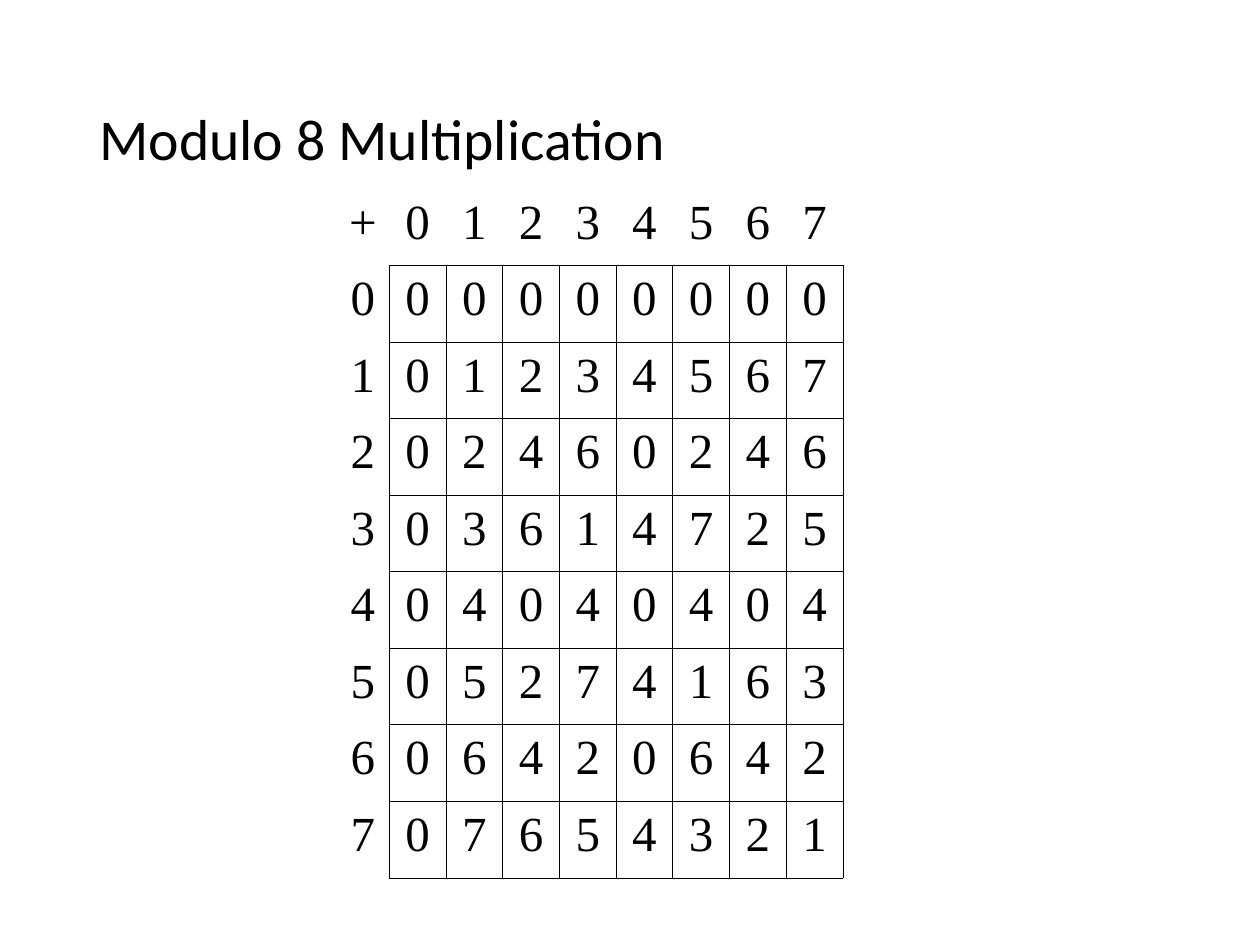
"""Build a slide showing the modulo 8 multiplication table."""
from dataclasses import dataclass

from pptx import Presentation
from pptx import util as u
from pptx.dml.color import RGBColor
from pptx.enum import text
from pptx.oxml import parse_xml
from pptx.oxml.ns import nsdecls

TITLE = "Modulo 8 Multiplication"
MOD = 8
HEADS = list(range(MOD))
ROWS = [["+", *HEADS]] + [[a, *(a * b % MOD for b in HEADS)] for a in HEADS]

TITLE_BOX = (0.69, 0.4, 8.63, 1.45)
GRID_AT = (2.67, 1.5)
WIDTHS = [0.42] + [0.45] * MOD
HEIGHT = 5.47


@dataclass(frozen=True)
class Theme:
    ink: str = "000000"
    head_font: str = "Calibri"
    head_size: int = 33
    cell_font: str = "Times New Roman"
    cell_size: int = 28
    rule: float = 0.45


THEME = Theme()


def write(para, words, font, size):
    run = para.add_run()
    run.text = str(words)
    run.font.name = font
    run.font.size = u.Pt(size)
    run.font.bold = False
    run.font.color.rgb = RGBColor.from_string(THEME.ink)


def edge(cell, side, drawn):
    paint = (f'<a:solidFill><a:srgbClr val="{THEME.ink}"/></a:solidFill>'
             if drawn else "<a:noFill/>")
    props = cell._tc.get_or_add_tcPr()
    props.append(parse_xml(
        f'<a:ln{side} {nsdecls("a")} w="{u.Pt(THEME.rule)}">{paint}</a:ln{side}>'))


def add_title(slide):
    frame = slide.shapes.add_textbox(*map(u.Inches, TITLE_BOX)).text_frame
    frame.word_wrap = True
    frame.vertical_anchor = text.MSO_ANCHOR.MIDDLE
    para = frame.paragraphs[0]
    para.line_spacing = 0.9
    write(para, TITLE, THEME.head_font, THEME.head_size)


def add_grid(slide):
    spot = map(u.Inches, (*GRID_AT, sum(WIDTHS), HEIGHT))
    grid = slide.shapes.add_table(len(ROWS), len(WIDTHS), *spot).table
    grid.first_row = grid.horz_banding = False
    for col, width in zip(grid.columns, WIDTHS):
        col.width = u.Inches(width)
    for r, row in enumerate(ROWS):
        for c, value in enumerate(row):
            cell = grid.cell(r, c)
            inner = r > 0 and c > 0
            for side, drawn in (("L", inner), ("R", r > 0),
                                ("T", inner), ("B", c > 0)):
                edge(cell, side, drawn)
            cell.fill.background()
            para = cell.text_frame.paragraphs[0]
            para.alignment = text.PP_ALIGN.CENTER
            para.space_after = u.Pt(3)
            write(para, value, THEME.cell_font, THEME.cell_size)


def main():
    deck = Presentation()
    deck.slide_width, deck.slide_height = u.Inches(10), u.Inches(7.5)
    slide = deck.slides.add_slide(deck.slide_layouts[6])
    add_title(slide)
    add_grid(slide)
    deck.save("out.pptx")


if __name__ == "__main__":
    main()
